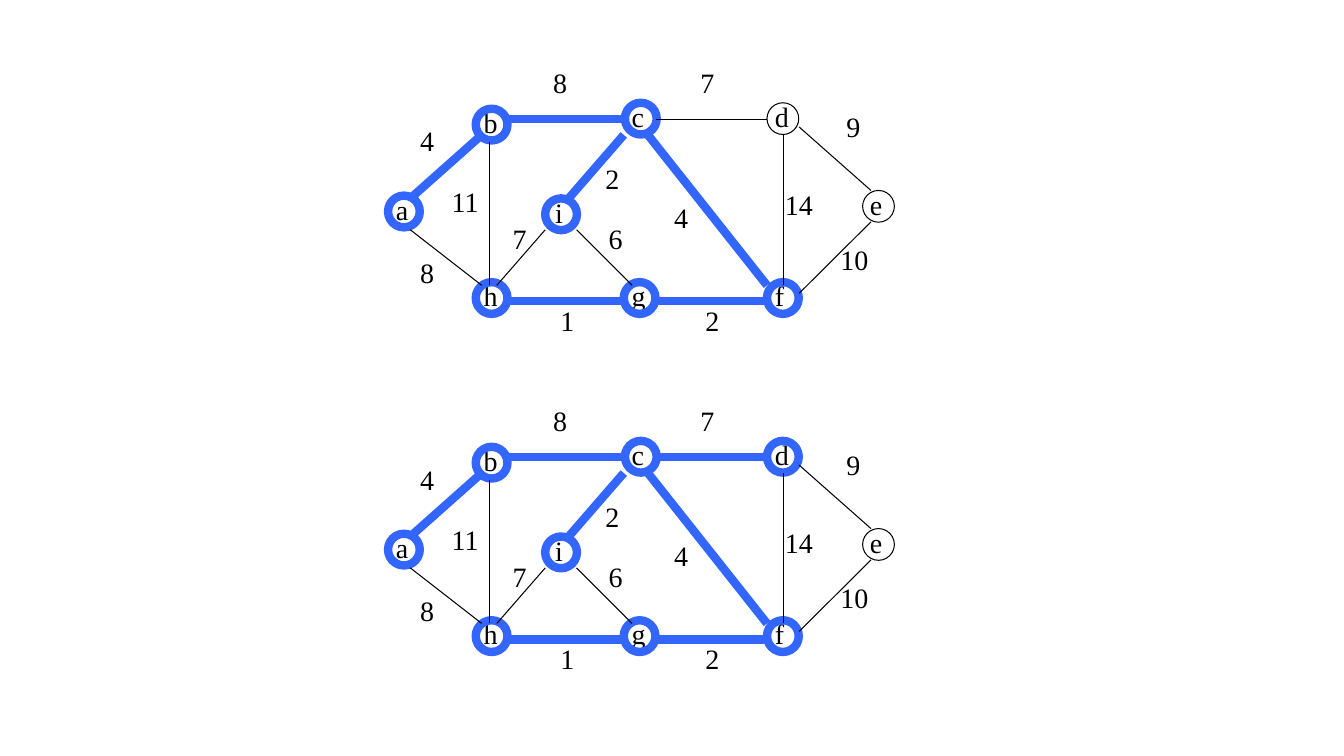
from dataclasses import dataclass

import pptx
import pptx.dml.color
import pptx.enum.shapes
import pptx.enum.text
import pptx.oxml.ns
import pptx.util
from lxml import etree

Cm = pptx.util.Cm
Pt = pptx.util.Pt


@dataclass(frozen=True)
class Theme:
    font: str = "Times New Roman"
    size: float = 20
    ink: str = "000000"
    tree: str = "3366FF"
    thin: float = 0.75
    thick: float = 6


THEME = Theme()
DIAMETER = 0.8
LETTER_RISE = 0.21  # a letter's box starts this far above its circle
LETTER_HEIGHT = 1.09
WEIGHT_HEIGHT = 1.12
STEP_GAP = 8.52  # vertical distance between the two graphs, cm

# Node: circle left, circle top, letter box left, letter box width (cm)
NODES = {
    "a": (9.78, 4.93, 9.73, 0.81),
    "b": (11.99, 2.74, 11.94, 0.86),
    "h": (11.99, 7.11, 11.94, 0.86),
    "c": (15.75, 2.59, 15.67, 0.81),
    "d": (19.33, 2.59, 19.28, 0.86),
    "e": (21.74, 4.8, 21.67, 0.81),
    "f": (19.33, 7.11, 19.28, 0.74),
    "g": (15.72, 7.11, 15.67, 0.86),
    "i": (13.74, 5, 13.74, 0.71),
}

# Edge: start point, end point, weight, weight box corner (cm)
EDGES = {
    "ab": ((10.34, 5), (12.14, 3.4), 4, (10.34, 3)),
    "ah": ((10.34, 5.79), (12.14, 7.19), 8, (10.34, 6.32)),
    "bh": ((12.34, 3.58), (12.34, 7.19), 11, (11.13, 4.52)),
    "bc": ((12.73, 3), (15.72, 3), 8, (13.69, 1.52)),
    "hg": ((12.73, 7.59), (15.72, 7.59), 1, (13.87, 7.52)),
    "gf": ((16.54, 7.59), (19.33, 7.59), 2, (17.53, 7.52)),
    "cf": ((16.33, 3.4), (19.33, 7.19), 4, (16.74, 4.93)),
    "cd": ((16.54, 3), (19.33, 3), 7, (17.4, 1.52)),
    "df": ((19.74, 3.4), (19.74, 7.19), 14, (19.53, 4.6)),
    "de": ((20.14, 3.2), (21.95, 4.8), 9, (21.08, 2.64)),
    "fe": ((20.14, 7.39), (21.95, 5.59), 10, (20.93, 5.99)),
    "ig": ((14.53, 5.79), (15.93, 7.19), 6, (15.09, 5.46)),
    "hi": ((12.52, 7.19), (13.74, 5.79), 7, (12.67, 5.46)),
    "ic": ((14.33, 5), (15.72, 3.4), 2, (15.01, 3.94)),
}

# Tree edges chosen so far, one set for each step
STEP_1 = {"ab", "bc", "ic", "cf", "gf", "hg"}
STEPS = [STEP_1, STEP_1 | {"cd"}]


def rgb(value):
    return pptx.dml.color.RGBColor.from_string(value)


def style_line(line, in_tree):
    line.color.rgb = rgb(THEME.tree if in_tree else THEME.ink)
    line.width = Pt(THEME.thick if in_tree else THEME.thin)


def add_label(shapes, text, x, y, w, h):
    sp = shapes.add_textbox(Cm(x), Cm(y), Cm(w), Cm(h))
    tf = sp.text_frame
    tf.word_wrap = False
    tf.auto_size = pptx.enum.text.MSO_AUTO_SIZE.SHAPE_TO_FIT_TEXT
    p = tf.paragraphs[0]
    p.text = text
    p.font.name = THEME.font
    p.font.size = Pt(THEME.size)
    p.font.color.rgb = rgb(THEME.ink)


def add_node(shapes, letter, top, in_tree):
    x, y, letter_x, letter_w = NODES[letter]
    y += top
    add_label(shapes, letter, letter_x, y - LETTER_RISE, letter_w, LETTER_HEIGHT)
    sp = shapes.add_shape(pptx.enum.shapes.MSO_SHAPE.OVAL,
                          Cm(x), Cm(y), Cm(DIAMETER), Cm(DIAMETER))
    sp.shadow.inherit = False
    sp.fill.background()
    style_line(sp.line, in_tree)


def add_edge(shapes, start, end, top, in_tree):
    (x1, y1), (x2, y2) = start, end
    cxn = shapes.add_connector(pptx.enum.shapes.MSO_CONNECTOR.STRAIGHT,
                               Cm(x1), Cm(y1 + top), Cm(x2), Cm(y2 + top))
    style_line(cxn.line, in_tree)
    etree.SubElement(cxn._element.spPr, pptx.oxml.ns.qn("a:effectLst"))


def add_weight(shapes, weight, corner, top):
    x, y = corner
    width = 1.22 if weight >= 10 else 0.86
    add_label(shapes, str(weight), x, y + top, width, WEIGHT_HEIGHT)


def add_graph(slide, tree, top):
    shapes = slide.shapes.add_group_shape().shapes
    reached = set("".join(tree))
    for letter in NODES:
        add_node(shapes, letter, top, letter in reached)
    for name, (start, end, _, _) in EDGES.items():
        add_edge(shapes, start, end, top, name in tree)
    for _, _, weight, corner in EDGES.values():
        add_weight(shapes, weight, corner, top)


def main():
    prs = pptx.Presentation()
    prs.slide_width, prs.slide_height = Cm(33.87), Cm(19.05)
    slide = prs.slides.add_slide(prs.slide_layouts[6])
    for step, tree in enumerate(STEPS):
        add_graph(slide, tree, step * STEP_GAP)
    prs.save("out.pptx")


if __name__ == "__main__":
    main()
